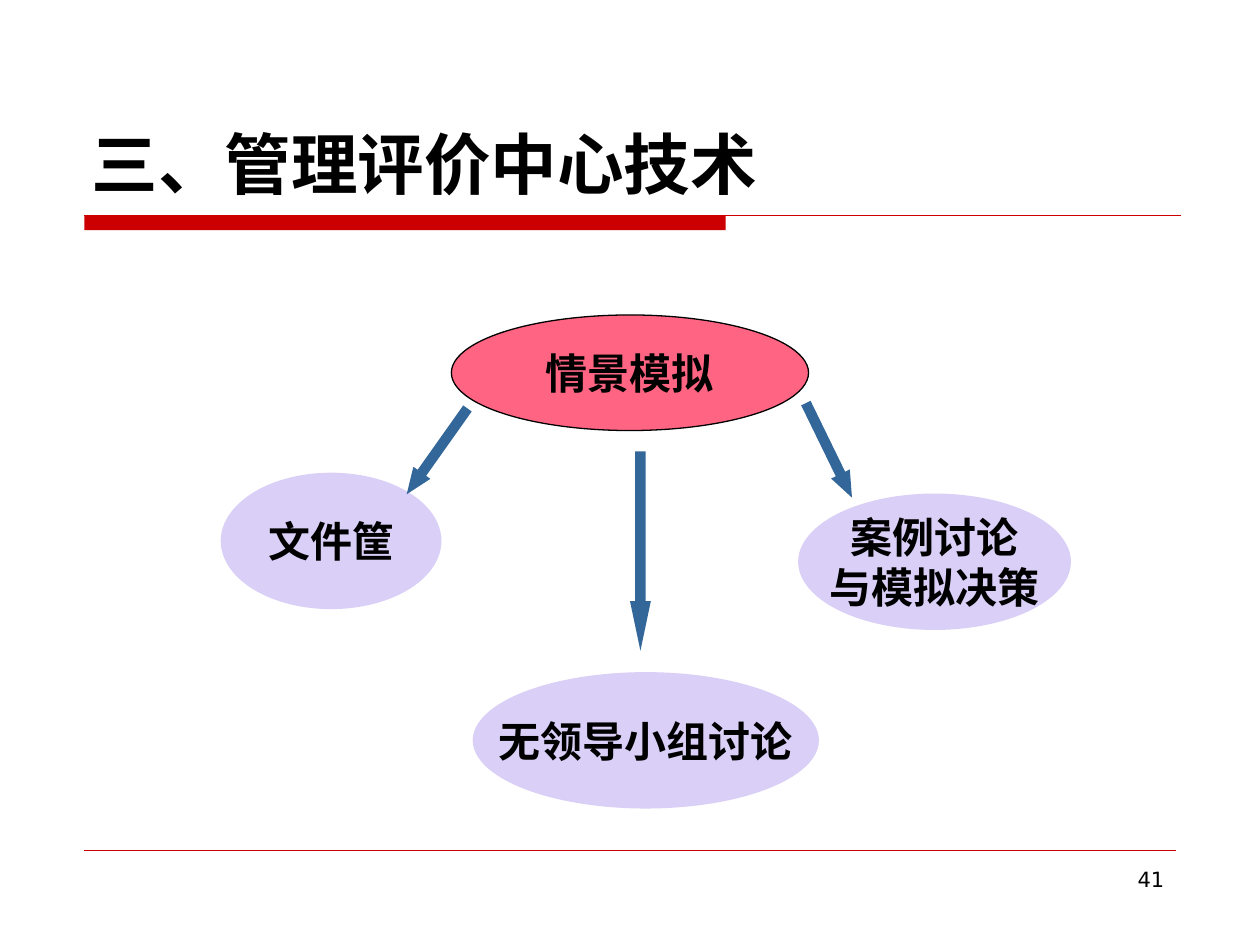
import pptx
import pptx.util
import pptx.dml.color
import pptx.enum.shapes
import pptx.enum.text
import pptx.oxml.ns
import lxml.etree

Cm, Pt = pptx.util.Cm, pptx.util.Pt
Kind = pptx.enum.shapes.MSO_SHAPE
Align = pptx.enum.text.PP_ALIGN
Anchor = pptx.enum.text.MSO_ANCHOR

RED, PINK, LILAC, BLUE, BLACK = "CC0000", "FF6582", "DACFF7", "336699", "000000"

# Boxes are left, top, width, height in cm
TITLE = ("三、管理评价中心技术", (1.6, 0.84, 22.23, 3.38))
PAGE = ("41", (18.21, 17.35, 5.51, 1.32))
BAR = (1.7, 4.34, 12.93, 0.3)
RULES = [(1.7, 23.8, 4.34, 0.75), (1.7, 23.7, 17.15, 0.25)]  # from, to, y, points
OVALS = [
    ("情景模拟", (9.1, 6.35, 7.2, 2.33), PINK, BLACK),
    ("文件筐", (4.45, 9.53, 4.45, 2.75), LILAC, None),
    ("无领导小组讨论", (9.53, 13.55, 6.98, 2.75), LILAC, None),
    ("案例讨论\n与模拟决策", (16.09, 9.95, 5.5, 2.75), LILAC, None),
]
# centre x, centre y, length, turn, head length
ARROWS = [
    (12.91, 11.11, 4.02, 90, 1),
    (8.81, 9.1, 2.12, 125.3, 0.53),
    (16.71, 9.08, 2.12, 64, 0.53),
]
THICK = 0.42


def tint(hue):
    return pptx.dml.color.RGBColor.from_string(hue)


def draw(kind, box, fill, edge=None):
    shape = slide.shapes.add_shape(kind, *map(Cm, box))
    shape.shadow.inherit = False
    shape.fill.solid()
    shape.fill.fore_color.rgb = tint(fill)
    if edge:
        shape.line.color.rgb = tint(edge)
        shape.line.width = Pt(0.75)
    else:
        shape.line.fill.background()
    return shape


def write(shape, text, size, font, bold, align, anchor, wrap):
    frame = shape.text_frame
    frame.text = text
    frame.word_wrap = wrap
    frame.vertical_anchor = anchor
    for para in frame.paragraphs:
        para.alignment = align
        for run in para.runs:
            run.font.size = Pt(size)
            run.font.name = font
            run.font.bold = bold
            run.font.color.rgb = tint(BLACK)


deck = pptx.Presentation()
deck.slide_width, deck.slide_height = Cm(25.4), Cm(19.05)
slide = deck.slides.add_slide(deck.slide_layouts[6])

draw(Kind.RECTANGLE, BAR, RED)
for start, end, y, width in RULES:
    rule = slide.shapes.add_connector(
        pptx.enum.shapes.MSO_CONNECTOR.STRAIGHT, Cm(start), Cm(y), Cm(end), Cm(y))
    rule.line.color.rgb = tint(RED)
    rule.line.width = Pt(width)
    props = rule.element.find(pptx.oxml.ns.qn("p:spPr"))
    lxml.etree.SubElement(props, pptx.oxml.ns.qn("a:effectLst"))

for text, box, fill, edge in OVALS:
    oval = draw(Kind.OVAL, box, fill, edge)
    write(oval, text, 24, "Lato", True, Align.CENTER, Anchor.MIDDLE, False)

for x, y, length, turn, head in ARROWS:
    arrow = draw(Kind.RIGHT_ARROW, (x - length / 2, y - THICK / 2, length, THICK), BLUE)
    arrow.adjustments[1] = head / THICK
    arrow.rotation = turn

for (text, box), size, bold, align, anchor in [
    (TITLE, 38, True, Align.LEFT, Anchor.BOTTOM),
    (PAGE, 12, False, Align.RIGHT, Anchor.TOP),
]:
    label = slide.shapes.add_textbox(*map(Cm, box))
    write(label, text, size, "DejaVu Sans", bold, align, anchor, True)

deck.save("out.pptx")
